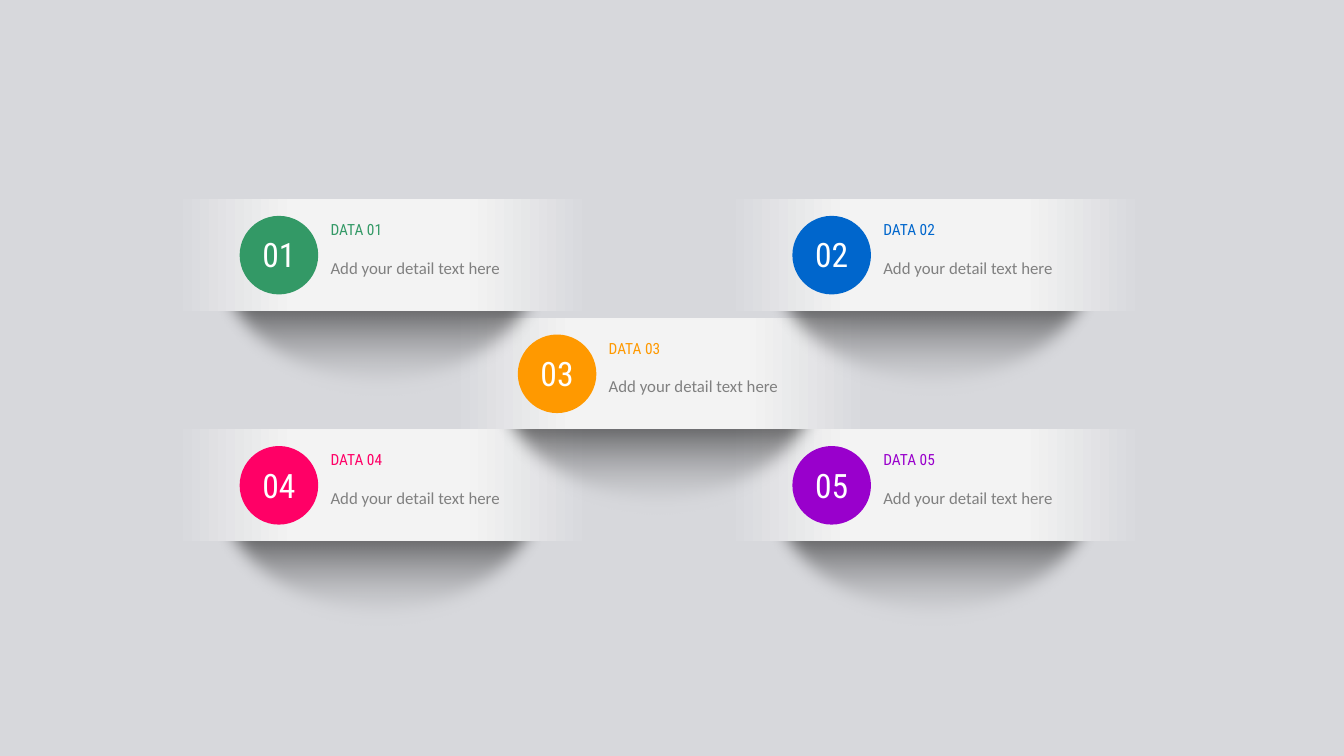
"""Build a slide of five numbered data cards with soft shadows."""
from lxml import etree
from pptx import Presentation
from pptx.dml.color import RGBColor
from pptx.enum.shapes import MSO_SHAPE
from pptx.enum.text import MSO_AUTO_SIZE, PP_ALIGN
from pptx.oxml.ns import qn
from pptx.util import Cm, Pt

RECTANGLE, OVAL = MSO_SHAPE.RECTANGLE, MSO_SHAPE.OVAL
LEFT, CENTER = PP_ALIGN.LEFT, PP_ALIGN.CENTER
GROW = MSO_AUTO_SIZE.SHAPE_TO_FIT_TEXT

BACKDROP = RGBColor(0xD7, 0xD8, 0xDC)
PANEL = RGBColor(0xF3, 0xF3, 0xF3)
BLACK = RGBColor(0, 0, 0)
WHITE = RGBColor(0xFF, 0xFF, 0xFF)
GREY = RGBColor(0x80, 0x80, 0x80)
GREEN = RGBColor(0x33, 0x99, 0x66)
BLUE = RGBColor(0x00, 0x66, 0xCC)
ORANGE = RGBColor(0xFF, 0x99, 0x00)
PINK = RGBColor(0xFF, 0x00, 0x66)
PURPLE = RGBColor(0x99, 0x00, 0xCC)

DETAIL = "Add your detail text here"
COLUMNS = {"left": 3.33, "middle": 10.34, "right": 17.26}
ROWS = {"top": 5.02, "middle": 8.01, "bottom": 10.82}
CARDS = [
    ("04", PINK, "left", "bottom"),
    ("05", PURPLE, "right", "bottom"),
    ("03", ORANGE, "middle", "middle"),
    ("01", GREEN, "left", "top"),
    ("02", BLUE, "right", "top"),
]

PANEL_BOX = (0, 0, 13.28, 2.81)
SHADOW_BOX = (1.86, 2.03, 8.79, 3.14)
CIRCLE_BOX = (2.71, 0.42, 1.98, 1.98)
NUMBER_BOX = (2.39, 0.76, 2.62, 1.27)
LABEL_BOX = (4.75, 0.4, 2.82, 0.74)
DETAIL_BOX = (4.75, 1.34, 5.92, 0.76)

PANEL_STOPS = [(8, BACKDROP, 100), (31, PANEL, 100), (64, PANEL, 100), (87, BACKDROP, 100)]
SHADOW_STOPS = [(8, BLACK, 75), (100, BACKDROP, 0)]
SOFT_RADIUS = Pt(12.5)
ROUNDNESS = 0.55


def place(origin, box):
    """Return the box in slide lengths, moved to the card's origin."""
    left, top, width, height = box
    return Cm(origin[0] + left), Cm(origin[1] + top), Cm(width), Cm(height)


def fill_gradient(shape, stops, angle):
    """Give the shape a linear gradient with any number of stops."""
    shape.fill.gradient()
    shape.fill.gradient_angle = angle
    stop_list = shape.element.xpath(".//a:gsLst")[0]
    for stop in list(stop_list):
        stop_list.remove(stop)
    for position, color, opacity in stops:
        stop = etree.SubElement(stop_list, qn("a:gs"), pos=str(position * 1000))
        tint = etree.SubElement(stop, qn("a:srgbClr"), val=str(color))
        if opacity < 100:
            etree.SubElement(tint, qn("a:alpha"), val=str(opacity * 1000))


def clear_outline(shape):
    """Remove the outline and the theme shadow."""
    shape.line.fill.background()
    shape.shadow.inherit = False


def bend(line, points):
    """Turn a straight path segment into a Bezier curve."""
    line.tag = qn("a:cubicBezTo")
    for point in list(line):
        line.remove(point)
    for x, y in points:
        etree.SubElement(line, qn("a:pt"), x=str(round(x)), y=str(round(y)))


def add_shadow(shapes, origin):
    """Add the soft half ellipse under a card."""
    left, top, width, height = place(origin, SHADOW_BOX)
    middle = width // 2
    reach, drop = middle * ROUNDNESS, height * ROUNDNESS
    outline = shapes.build_freeform(left, top)
    right_end = (left + width, top)
    outline.add_line_segments([right_end, right_end, (left + middle, top + height), (left, top)])
    shadow = outline.convert_to_shape()
    right_arc, left_arc = shadow.element.xpath(".//a:lnTo")[2:4]
    bend(right_arc, [(width, drop), (middle + reach, height), (middle, height)])
    bend(left_arc, [(middle - reach, height), (0, drop), (0, 0)])
    fill_gradient(shadow, SHADOW_STOPS, 270)
    clear_outline(shadow)
    effects = shadow.element.xpath(".//a:effectLst")[0]
    etree.SubElement(effects, qn("a:softEdge"), rad=str(SOFT_RADIUS))


def add_text(shapes, bounds, text, color, size, face, align=LEFT):
    """Add one line of formatted text."""
    box = shapes.add_textbox(*bounds)
    box.text_frame.word_wrap = True
    box.text_frame.auto_size = GROW
    para = box.text_frame.paragraphs[0]
    para.alignment = align
    span = para.add_run()
    span.text = text
    for name, value in {"size": Pt(size), "name": face}.items():
        setattr(span.font, name, value)
    span.font.color.rgb = color


def add_card(page, number, color, column, row):
    """Add one card as a group."""
    origin = COLUMNS[column], ROWS[row]
    shapes = page.shapes.add_group_shape().shapes
    add_shadow(shapes, origin)
    panel = shapes.add_shape(RECTANGLE, *place(origin, PANEL_BOX))
    fill_gradient(panel, PANEL_STOPS, 0)
    clear_outline(panel)
    circle = shapes.add_shape(OVAL, *place(origin, CIRCLE_BOX))
    circle.fill.solid()
    circle.fill.fore_color.rgb = color
    clear_outline(circle)
    add_text(shapes, place(origin, NUMBER_BOX), number, WHITE, 24, "Roboto Condensed", CENTER)
    add_text(shapes, place(origin, LABEL_BOX), f"DATA {number}", color, 11, "Roboto Condensed")
    add_text(shapes, place(origin, DETAIL_BOX), DETAIL, GREY, 12, "Calibri")


def main():
    """Create and save the deck."""
    deck = Presentation()
    deck.slide_width, deck.slide_height = Cm(33.87), Cm(19.05)
    page = deck.slides.add_slide(deck.slide_layouts[6])
    page.background.fill.solid()
    page.background.fill.fore_color.rgb = BACKDROP
    for card in CARDS:
        add_card(page, *card)
    deck.save("out.pptx")


if __name__ == "__main__":
    main()
